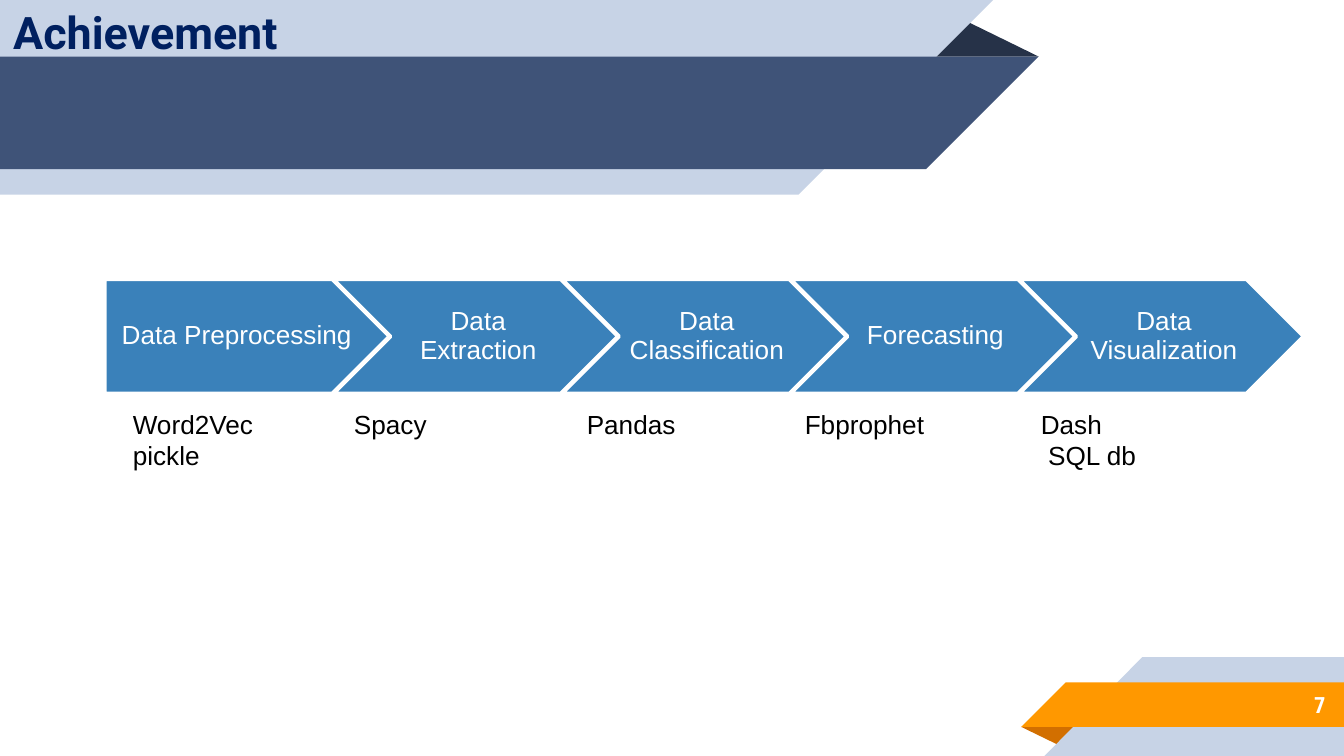
from dataclasses import dataclass

from lxml.etree import SubElement
from pptx import Presentation
from pptx.dml.color import RGBColor
from pptx.enum.shapes import MSO_SHAPE
from pptx.enum.text import MSO_ANCHOR, MSO_AUTO_SIZE, PP_ALIGN
from pptx.oxml.ns import qn
from pptx.util import Cm, Pt


@dataclass(frozen=True)
class Theme:
    pale: str = "C7D3E6"
    navy: str = "3F5378"
    dark: str = "263248"
    orange: str = "FF9800"
    rust: str = "D26F00"
    blue: str = "3A81BA"
    ink: str = "002060"
    black: str = "000000"
    white: str = "FFFFFF"
    head: int = 24
    body: int = 14
    small: int = 12


THEME = Theme()

# Each band: colour and corner points in cm, back to front
BANDS = [
    (THEME.dark, [(17.48, 1.07), (18.18, 0.36), (19.63, 1.07)]),
    (THEME.pale, [(0, 0), (18.77, 0), (15.09, 3.68), (0, 3.68)]),
    (THEME.navy, [(0, 1.07), (19.63, 1.07), (17.5, 3.2), (0, 3.2)]),
    (THEME.rust, [(19.3, 13.74), (20.39, 13.74), (20.04, 14.1)]),
    (THEME.pale, [(21.59, 12.42), (25.4, 12.42), (25.4, 14.29), (19.74, 14.29)]),
    (THEME.orange, [(20.14, 12.9), (25.4, 12.9), (25.4, 13.74), (19.3, 13.74)]),
]

STAGES = ["Data Preprocessing", "Data Extraction", "Data Classification",
          "Forecasting", "Data Visualization"]

# Each row of tools: the words and the tab stops (cm) between them
TOOLS = [
    (["Word2Vec", "Spacy", "Pandas", "Fbprophet", "Dash"], [4.18, 8.58, 12.7, 17.16]),
    (["pickle", "SQL db"], [17.3]),
]


def paint(shape, fill, line=None):
    shape.shadow.inherit = False
    shape.fill.solid()
    shape.fill.fore_color.rgb = RGBColor.from_string(fill)
    if line:
        shape.line.color.rgb = RGBColor.from_string(line)
        shape.line.width = Pt(2)
    else:
        shape.line.fill.background()


def write(shape, *lines, size=THEME.body, font="Arial", color=THEME.black, bold=False,
          align=PP_ALIGN.LEFT, anchor=MSO_ANCHOR.MIDDLE, inset=(0.25,) * 4, gap=1.0):
    frame = shape.text_frame
    frame.word_wrap = True
    frame.auto_size = MSO_AUTO_SIZE.NONE
    frame.vertical_anchor = anchor
    (frame.margin_left, frame.margin_top,
     frame.margin_right, frame.margin_bottom) = map(Cm, inset)
    for i, line in enumerate(lines):
        para = frame.add_paragraph() if i else frame.paragraphs[0]
        para.alignment = align
        para.line_spacing = gap
        run = para.add_run()
        run.text = line
        run.font.size = Pt(size)
        run.font.name = font
        run.font.bold = bold
        run.font.color.rgb = RGBColor.from_string(color)


def add_band(slide, fill, points):
    first, *rest = [(Cm(x), Cm(y)) for x, y in points]
    maker = slide.shapes.build_freeform(*first)
    maker.add_line_segments(rest, close=True)
    paint(maker.convert_to_shape(), fill)


def add_stage(slide, i, label):
    kind = MSO_SHAPE.CHEVRON if i else MSO_SHAPE.PENTAGON
    left = 1.98 + 4.32 * i
    arrow = slide.shapes.add_shape(kind, Cm(left), Cm(5.28), Cm(5.38), Cm(2.16))
    paint(arrow, THEME.blue, THEME.white)
    inset = (0.15 if i else 0.2, 0.1, 0.05, 0.1)
    write(arrow, label, color=THEME.white, align=PP_ALIGN.CENTER, inset=inset, gap=0.9)


def add_box(slide, left, top, width, height):
    return slide.shapes.add_textbox(Cm(left), Cm(top), Cm(width), Cm(height))


def add_tools(slide):
    box = add_box(slide, 2.26, 7.59, 21.39, 2.06)
    write(box, *("\t".join(words) for words, _ in TOOLS),
          anchor=MSO_ANCHOR.TOP, inset=(0.25, 0.13, 0.25, 0.13))
    for para, (_, stops) in zip(box.text_frame.paragraphs, TOOLS):
        tabs = SubElement(para._p.get_or_add_pPr(), qn("a:tabLst"))
        for stop in stops:
            SubElement(tabs, qn("a:tab"), pos=str(int(Cm(stop))), algn="l")


def add_title(slide):
    title = slide.shapes.title
    title.left, title.top = Cm(0), Cm(-0.46)
    title.width, title.height = Cm(15.27), Cm(2.13)
    write(title, "Achievement", size=THEME.head, font="Roboto",
          color=THEME.ink, bold=True)
    # Bring the title in front of the bands
    slide.shapes._spTree.append(title._element)


def main():
    deck = Presentation()
    deck.slide_width, deck.slide_height = Cm(25.4), Cm(14.29)
    slide = deck.slides.add_slide(deck.slide_layouts[5])

    # Header and footer bands
    for fill, points in BANDS:
        add_band(slide, fill, points)

    # Page number
    write(add_box(slide, 21.16, 12.88, 4.14, 0.89), "7", size=THEME.small,
          font="Roboto Condensed", color=THEME.white, bold=True, align=PP_ALIGN.RIGHT)

    # Process arrows and the tools below them
    for i, label in enumerate(STAGES):
        add_stage(slide, i, label)
    add_tools(slide)

    add_title(slide)
    deck.save("out.pptx")


if __name__ == "__main__":
    main()
